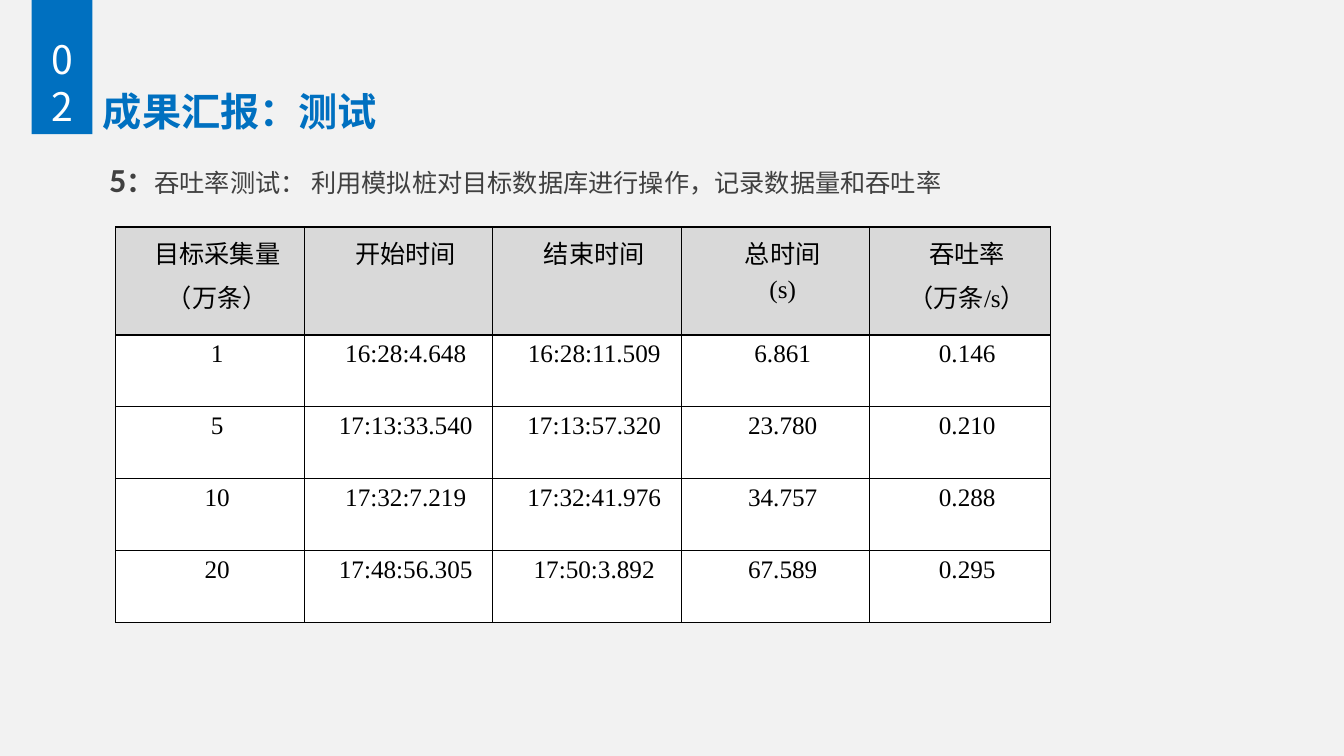
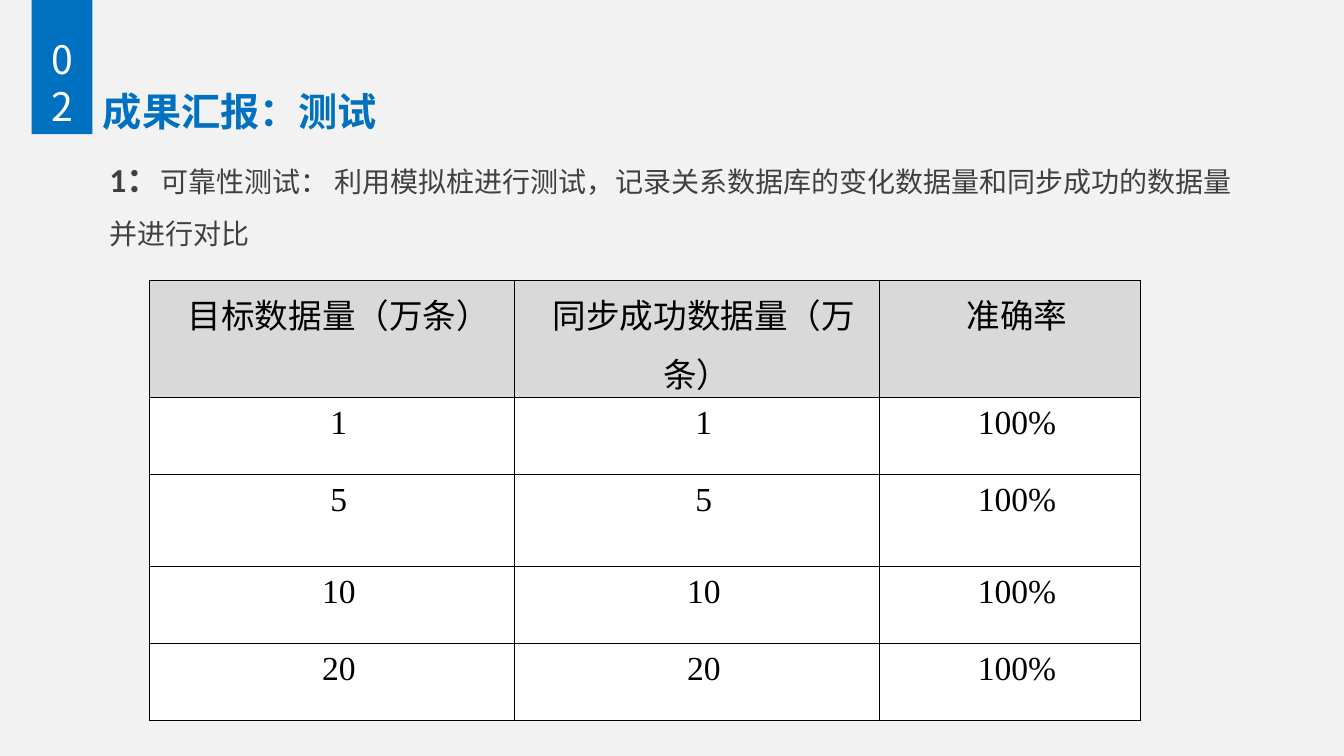
from dataclasses import dataclass

from lxml.etree import SubElement as Sub
from pptx import Presentation
from pptx.dml.color import RGBColor as Rgb
from pptx.enum.shapes import MSO_SHAPE as Geo
from pptx.enum.text import MSO_ANCHOR as Anchor, MSO_AUTO_SIZE as Fit, PP_ALIGN as Align
from pptx.oxml.ns import qn
from pptx.util import Cm, Pt


@dataclass(frozen=True)
class Theme:
    blue: str = "0070C0"
    back: str = "F2F2F2"
    ink: str = "404040"
    black: str = "000000"
    white: str = "FFFFFF"
    head: str = "D9D9D9"
    serif: str = "Times New Roman"
    sans: str = "Calibri"
    cjk: str = "Noto Sans CJK SC"
    big: int = 28
    lead: int = 24
    mid: int = 20
    small: int = 18


T = Theme()
PAGE = (33.87, 19.05)
BADGE = (0.8, 0, 1.53, 3.38)
TITLE = (2.34, 1.02, 29.21, 3.68)
TEXT = (2.51, 3.38, 29.21)

SLIDES = [
    dict(
        title="成果汇报：测试",
        runs=[("5", T.lead, True), ("：", T.mid, True),
              ("吞吐率测试： 利用模拟桩对目标数据库进行操作，记录数据量和吞吐率", T.small, False)],
        deep=13.59,
        grid=dict(
            at=(2.92, 5.72), size=T.small,
            cols=[4.75] * 4 + [4.55], rows=[2.72] + [1.81] * 4,
            data=[
                ["目标采集量\n（万条）", "开始时间", "结束时间", "总时间\n(s)", "吞吐率\n（万条/s）"],
                ["1", "16:28:4.648", "16:28:11.509", "6.861", "0.146"],
                ["5", "17:13:33.540", "17:13:57.320", "23.780", "0.210"],
                ["10", "17:32:7.219", "17:32:41.976", "34.757", "0.288"],
                ["20", "17:48:56.305", "17:50:3.892", "67.589", "0.295"],
            ],
        ),
    ),
    dict(
        title="成果汇报：测试",
        runs=[("1：", T.lead, True),
              ("可靠性测试： 利用模拟桩进行测试，记录关系数据库的变化数据量和同步成功的数据量并进行对比",
               T.mid, False)],
        deep=11.79,
        grid=dict(
            at=(3.76, 7.06), size=T.lead,
            cols=[9.2, 9.2, 6.58], rows=[1.94, 1.94, 2.33, 1.94, 1.94],
            data=[["目标数据量（万条）", "同步成功数据量（万条）", "准确率"]]
            + [[n, n, "100%"] for n in ("1", "5", "10", "20")],
        ),
    ),
]


def put(obj, **vals):
    for key, val in vals.items():
        setattr(obj, key, val)


def paint(item, tone):
    item.fill.solid()
    item.fill.fore_color.rgb = Rgb.from_string(tone)


def style(run, face, size, tone, bold=False):
    """Format a run, with the shared font for Chinese text."""
    put(run.font, name=face, size=Pt(size), bold=bold)
    run.font.color.rgb = Rgb.from_string(tone)
    Sub(run._r.get_or_add_rPr(), qn("a:ea"), typeface=T.cjk)


def place(item, box):
    put(item, **dict(zip(("left", "top", "width", "height"), map(Cm, box))))


def add_title(slide, box, text):
    title = slide.shapes.title
    place(title, box)
    frame = title.text_frame
    put(frame, text=text, vertical_anchor=Anchor.MIDDLE, auto_size=Fit.NONE)
    para = frame.paragraphs[0]
    put(para, alignment=Align.LEFT, line_spacing=0.9)
    style(para.runs[0], T.serif, T.big, T.blue, True)


def add_badge(slide, box, text):
    badge = slide.shapes.add_shape(Geo.ROUNDED_RECTANGLE, *map(Cm, box))
    badge.adjustments[0] = 0
    badge.shadow.inherit = False
    paint(badge, T.blue)
    badge.line.fill.background()
    put(badge.text_frame, text=text, vertical_anchor=Anchor.BOTTOM, word_wrap=True)
    para = badge.text_frame.paragraphs[0]
    para.alignment = Align.CENTER
    style(para.runs[0], T.cjk, T.big, T.white)


def add_text(slide, box, runs):
    frame = slide.shapes.add_textbox(*map(Cm, box)).text_frame
    put(frame, word_wrap=True, auto_size=Fit.NONE)
    para = frame.paragraphs[0]
    put(para, line_spacing=1.5, space_before=Pt(10))
    for text, size, bold in runs:
        run = para.add_run()
        run.text = text
        style(run, T.sans, size, T.ink, bold)


def edge(cell):
    """Draw a thin black line on all four sides of a cell."""
    props = cell._tc.get_or_add_tcPr()
    for side in "LRTB":
        line = Sub(props, qn(f"a:ln{side}"), w=str(Pt(1)))
        Sub(Sub(line, qn("a:solidFill")), qn("a:srgbClr"), val=T.black)


def fill_cell(cell, text, size, tone):
    put(cell, margin_left=Cm(0.18), margin_right=Cm(0.18), margin_top=0, margin_bottom=0)
    edge(cell)
    paint(cell, tone)
    cell.text_frame.text = text
    for para in cell.text_frame.paragraphs:
        put(para, alignment=Align.CENTER, line_spacing=1.2)
        para._p.get_or_add_pPr().set("indent", str(Cm(0.36)))
        style(para.runs[0], T.serif, size, T.black)


def add_grid(slide, at, size, cols, rows, data):
    box = (*at, sum(cols), sum(rows))
    table = slide.shapes.add_table(len(rows), len(cols), *map(Cm, box)).table
    put(table, first_row=False, horz_banding=False)
    for col, wide in zip(table.columns, cols):
        col.width = Cm(wide)
    for r, (row, tall) in enumerate(zip(table.rows, rows)):
        row.height = Cm(tall)
        for cell, text in zip(row.cells, data[r]):
            fill_cell(cell, text, size, T.white if r else T.head)


def add_slide(deck, title, runs, deep, grid):
    slide = deck.slides.add_slide(deck.slide_layouts[5])
    add_title(slide, TITLE, title)
    add_text(slide, (*TEXT, deep), runs)
    add_badge(slide, BADGE, "02")
    add_grid(slide, **grid)


def main():
    deck = Presentation()
    put(deck, slide_width=Cm(PAGE[0]), slide_height=Cm(PAGE[1]))
    paint(deck.slide_master.background, T.back)
    for page in SLIDES:
        add_slide(deck, **page)
    deck.save("out.pptx")


if __name__ == "__main__":
    main()
